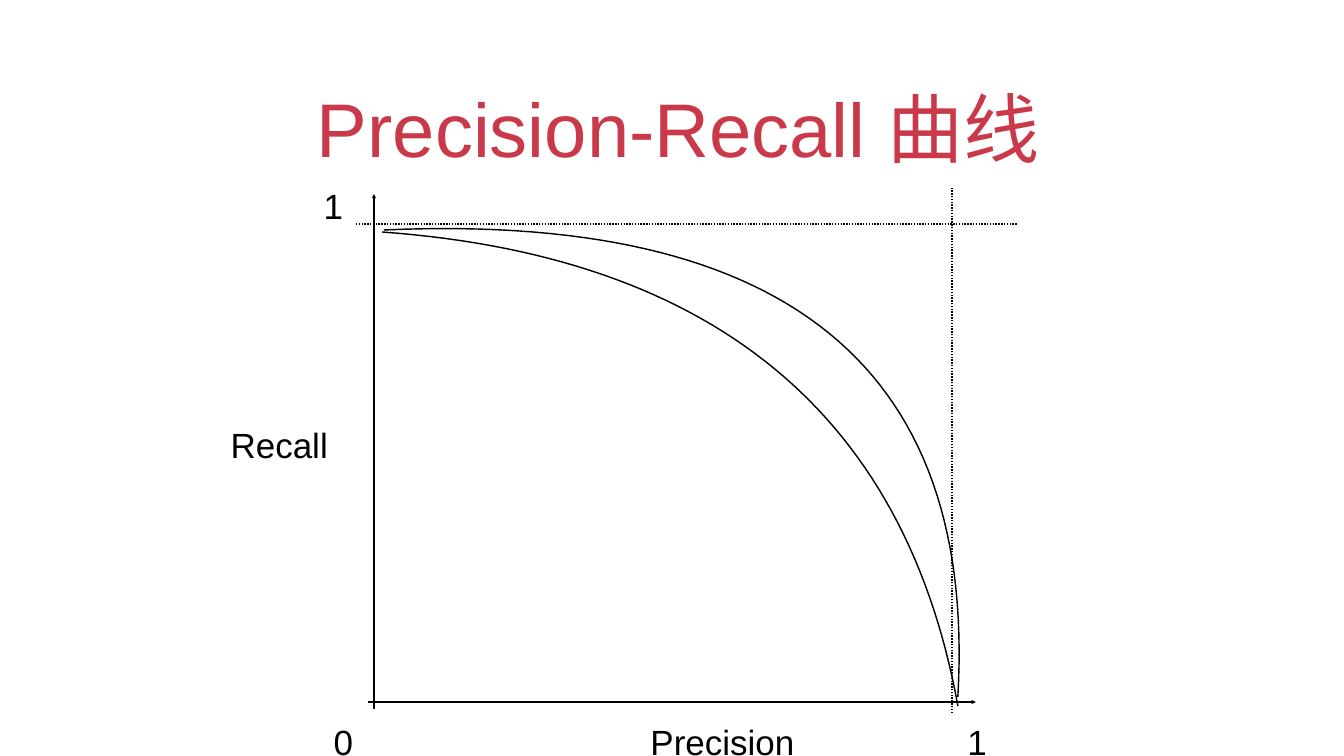
from dataclasses import dataclass

from pptx import Presentation
from pptx.dml.color import RGBColor as Rgb
from pptx.enum.dml import MSO_LINE as Dash
from pptx.enum.shapes import MSO_CONNECTOR as Link
from pptx.enum.text import MSO_ANCHOR as Anchor, MSO_AUTO_SIZE as Fit, PP_ALIGN as Align
from pptx.oxml.ns import qn
from pptx.util import Inches, Pt
from lxml.etree import SubElement as Sub

SCALE = 914400 / 50.4  # EMU in one px


@dataclass(frozen=True)
class Theme:
    font: str = "Arial"
    ink: Rgb = Rgb(0x00, 0x00, 0x00)
    red: Rgb = Rgb(0xC9, 0x39, 0x4A)
    head: float = 108.6
    body: float = 50
    line: float = 2


THEME = Theme()


def px(num):
    return round(num * SCALE)


def set_text(shape, text, size, color, anchor, fit, indent):
    frame = shape.text_frame
    frame.text = text
    frame.word_wrap = True
    frame.auto_size = fit
    frame.vertical_anchor = anchor
    frame.margin_left = frame.margin_right = px(3)
    frame.margin_top = frame.margin_bottom = px(3)
    para = frame.paragraphs[0]
    props = para._p.get_or_add_pPr()
    props.set("marL", "0")
    props.set("indent", str(Inches(indent)))
    font = para.runs[0].font
    font.name, font.size, font.color.rgb = THEME.font, Pt(size), color
    return para


def add_title(slide, text, x, y, w, h):
    title = slide.shapes.title
    title.left, title.top, title.width, title.height = map(px, (x, y, w, h))
    para = set_text(title, text, THEME.head, THEME.red, Anchor.BOTTOM, Fit.NONE, 0.24)
    para.alignment = Align.CENTER


def add_label(slide, text, x, y, w=134, h=47):
    box = slide.shapes.add_textbox(*map(px, (x, y, w, h)))
    para = set_text(box, text, THEME.body, THEME.ink, Anchor.MIDDLE,
                    Fit.SHAPE_TO_FIT_TEXT, 0.25)
    para.line_spacing = 1.5


def set_line(shape):
    shape.line.color.rgb = THEME.ink
    shape.line.width = Pt(THEME.line)


def add_line(slide, start, end):
    line = slide.shapes.add_connector(Link.STRAIGHT, *map(px, start + end))
    set_line(line)
    Sub(line._element.spPr, qn("a:effectLst"))
    return line


def add_axis(slide, start, end):
    axis = add_line(slide, start, end)
    Sub(axis.line._get_or_add_ln(), qn("a:tailEnd"), type="triangle")


def add_limit(slide, start, end):
    add_line(slide, start, end).line.dash_style = Dash.ROUND_DOT


def add_curve(slide, ends, steps=60):
    """Draw a cubic Bezier curve from its four control points."""
    def point(step):
        t = step / steps
        parts = ((1 - t) ** 3, 3 * t * (1 - t) ** 2, 3 * t * t * (1 - t), t ** 3)
        return tuple(px(sum(p * e[i] for p, e in zip(parts, ends))) for i in (0, 1))

    dots = [point(step) for step in range(steps + 1)]
    pen = slide.shapes.build_freeform(*dots[0])
    pen.add_line_segments(dots[1:], close=False)
    curve = pen.convert_to_shape()
    curve.fill.background()
    curve.shadow.inherit = False
    set_line(curve)


def main():
    deck = Presentation()
    deck.slide_width, deck.slide_height = Inches(26.67), Inches(15)
    slide = deck.slides.add_slide(deck.slide_layouts[5])
    add_title(slide, "Precision-Recall 曲线", 98, 64, 1148, 112)

    # Axes
    add_axis(slide, (368, 702), (976, 702))
    add_axis(slide, (374, 709), (374, 194))

    # Axis names and end values
    add_label(slide, "Precision", 635, 707, 176)
    add_label(slide, "Recall", 215, 410)
    add_label(slide, "0", 318, 707)
    add_label(slide, "1", 952, 707)
    add_label(slide, "1", 308, 172)

    # Dotted limits at 1
    add_limit(slide, (356, 224), (1017, 224))
    add_limit(slide, (952, 713), (952, 188))

    # Better and worse curves
    add_curve(slide, ((384, 230), (786, 212), (977, 367), (958, 697)))
    add_curve(slide, ((382, 232), (713, 256), (905, 414), (958, 706)))

    deck.save("out.pptx")


if __name__ == "__main__":
    main()
